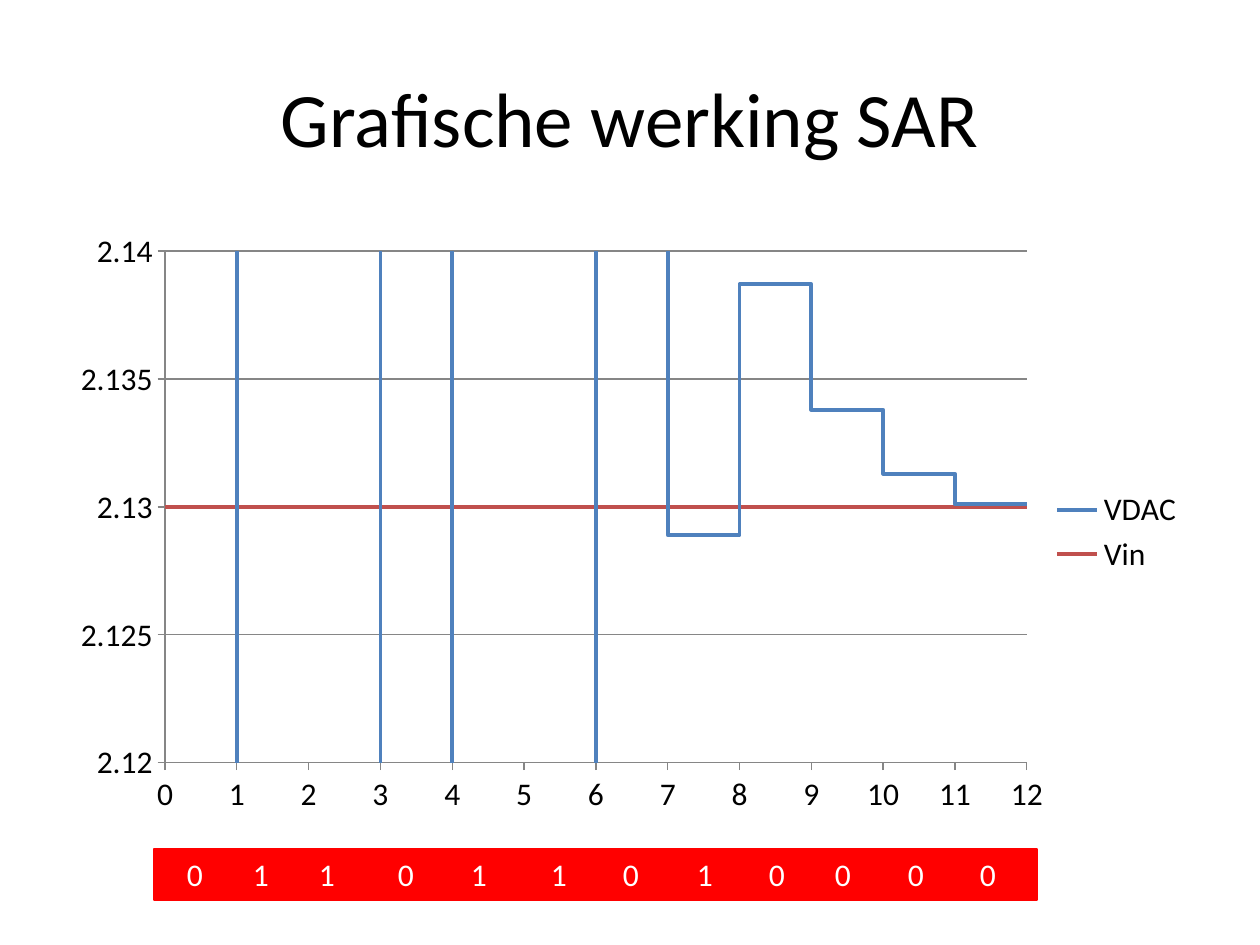
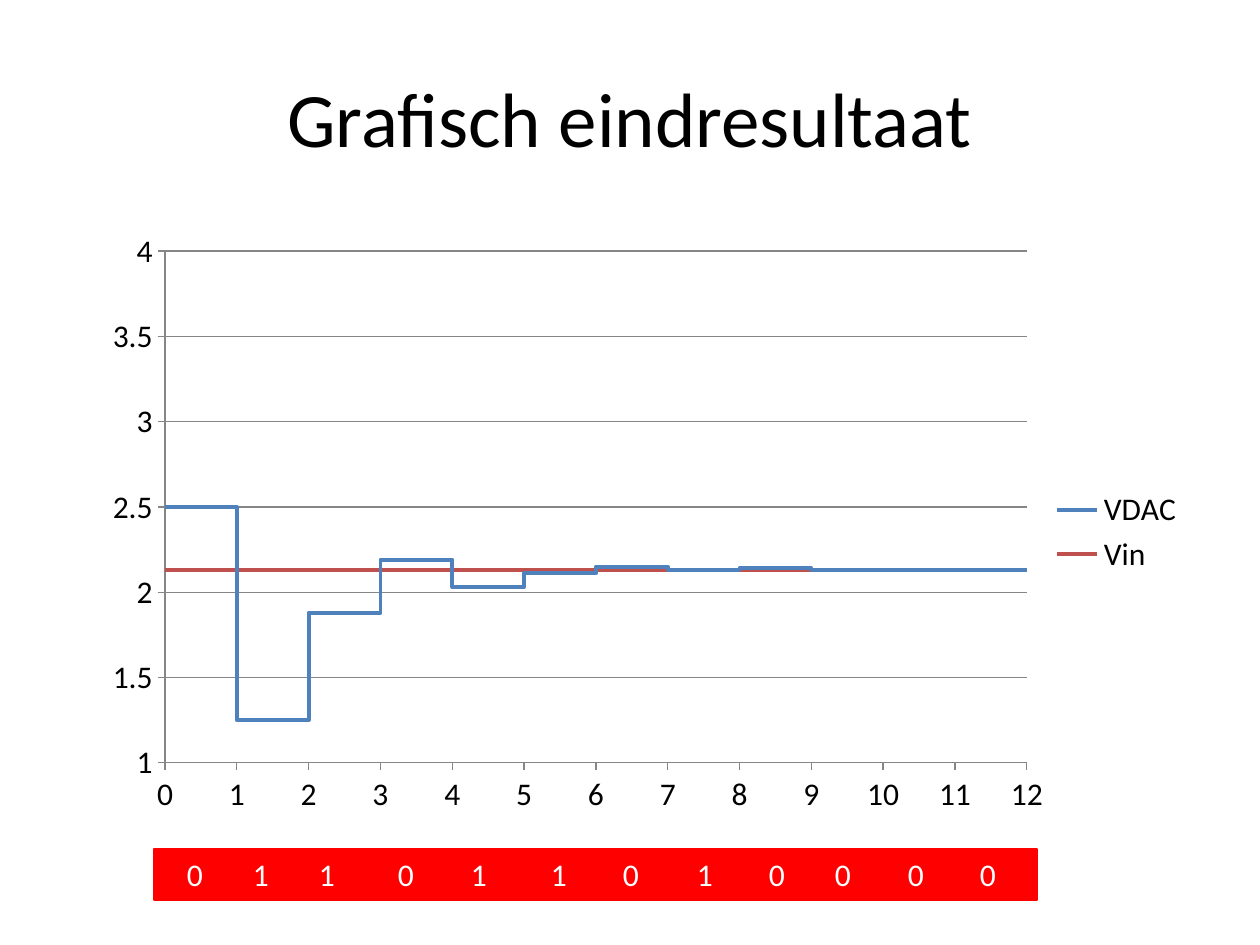
"""Build two slides that plot a successive approximation conversion."""
from lxml import etree
from pptx import Presentation
from pptx.chart.data import XyChartData
from pptx.dml.color import RGBColor
from pptx.enum.chart import XL_CHART_TYPE, XL_LEGEND_POSITION, XL_TICK_MARK
from pptx.enum.shapes import MSO_SHAPE
from pptx.enum.text import MSO_ANCHOR, PP_ALIGN
from pptx.oxml.ns import qn
from pptx.util import Pt

SCATTER = XL_CHART_TYPE.XY_SCATTER_LINES_NO_MARKERS
LEGEND_RIGHT = XL_LEGEND_POSITION.RIGHT
TICK_OUT, TICK_NONE = XL_TICK_MARK.OUTSIDE, XL_TICK_MARK.NONE
RECT = MSO_SHAPE.RECTANGLE
MIDDLE, TOP = MSO_ANCHOR.MIDDLE, MSO_ANCHOR.TOP
CENTER, LEFT = PP_ALIGN.CENTER, PP_ALIGN.LEFT

SLIDES = [
    {"title": "Grafische werking SAR", "low": 2.12, "high": 2.14, "unit": 0.005, "digits": 4},
    {"title": "Grafisch eindresultaat", "low": 1, "high": 4, "unit": 0.5, "digits": 2},
]
BITS = [0, 1, 1, 0, 1, 1, 0, 1, 0, 0, 0, 0]
BIT_CENTERS = [195, 261, 327, 406, 479, 559, 631, 705, 777, 843, 916, 988]
V_REF, V_IN = 5, 2.13

COLORS = {"text": "000000", "vdac": "4F81BD", "vin": "C0504D",
          "grid": "868686", "band": "FF0000", "bits": "FFFFFF"}
FONT = "Calibri"
PX = 914400 / 126
SLIDE_SIZE = (1260, 945)
TITLE_BOX = (63, 38, 1134, 157)
CHART_BOX = (63, 220, 1134, 624)
BAND_BOX = (154, 849, 883, 51)
BAND_INSET = 13
PLOT = {"x": 0.09, "y": 0.05, "w": 0.76, "h": 0.82}


def emu(*lengths):
    return [round(n * PX) for n in lengths]


def rgb(name):
    return RGBColor.from_string(COLORS[name])


def style_font(font, size, color):
    font.name, font.size = FONT, Pt(size)
    font.color.rgb = rgb(color)


def style_line(line, color, width):
    line.color.rgb = rgb(color)
    line.width = Pt(width)


def dac_levels():
    level = step = V_REF / 2
    levels = [level]
    for bit in BITS[:-1]:
        step /= 2
        level += step if bit else -step
        levels.append(level)
    return levels


def add_title(slide, text):
    sp = slide.shapes.title
    sp.left, sp.top, sp.width, sp.height = emu(*TITLE_BOX)
    tf = sp.text_frame
    tf.vertical_anchor = MIDDLE
    p = tf.paragraphs[0]
    p.alignment = CENTER
    r = p.add_run()
    r.text = text
    style_font(r.font, 44, "text")


def set_plot_layout(chart):
    area = chart.element.find(".//" + qn("c:plotArea"))
    for old in area.findall(qn("c:layout")):
        area.remove(old)
    layout = etree.Element(qn("c:layout"))
    manual = etree.SubElement(layout, qn("c:manualLayout"))
    settings = {"layoutTarget": "inner", "xMode": "edge", "yMode": "edge", **PLOT}
    for tag, value in settings.items():
        etree.SubElement(manual, qn("c:" + tag)).set("val", str(value))
    area.insert(0, layout)


def style_axis(axis, low, high, unit, grid):
    axis.minimum_scale, axis.maximum_scale, axis.major_unit = low, high, unit
    axis.major_tick_mark, axis.minor_tick_mark = TICK_OUT, TICK_NONE
    axis.has_major_gridlines = grid
    style_line(axis.format.line, "grid", 0.75)
    if grid:
        style_line(axis.major_gridlines.format.line, "grid", 0.75)


def add_chart(slide, low, high, unit, digits):
    data = XyChartData()
    vdac = data.add_series("VDAC")
    for i, level in enumerate(dac_levels()):
        for x in (i, i + 1):
            vdac.add_data_point(x, round(level, digits))
    vin = data.add_series("Vin")
    for x in range(len(BITS) + 1):
        vin.add_data_point(x, V_IN)

    chart = slide.shapes.add_chart(SCATTER, *emu(*CHART_BOX), data).chart
    style_font(chart.font, 18, "text")
    chart.has_title = False
    chart.has_legend = True
    chart.legend.position = LEGEND_RIGHT
    chart.legend.include_in_layout = False
    set_plot_layout(chart)
    style_axis(chart.category_axis, 0, len(BITS), 1, False)
    style_axis(chart.value_axis, low, high, unit, True)
    plot = chart.plots[0]
    plot.vary_by_categories = False
    for series, color in zip(plot.series, ("vdac", "vin")):
        series.smooth = False
        style_line(series.format.line, color, 2.25)


def add_bit_band(slide):
    sp = slide.shapes.add_shape(RECT, *emu(*BAND_BOX))
    sp.shadow.inherit = False
    sp.fill.solid()
    sp.fill.fore_color.rgb = rgb("band")
    style_line(sp.line, "band", 0.75)
    tf = sp.text_frame
    tf.word_wrap = True
    tf.vertical_anchor = TOP
    tf.margin_left = tf.margin_right = emu(BAND_INSET)[0]
    p = tf.paragraphs[0]
    p.alignment = LEFT
    tabs = etree.SubElement(p._p.get_or_add_pPr(), qn("a:tabLst"))
    for center in BIT_CENTERS:
        tab = etree.SubElement(tabs, qn("a:tab"))
        tab.set("pos", str(emu(center - BAND_BOX[0] - BAND_INSET)[0]))
        tab.set("algn", "ctr")
    for bit in BITS:
        r = p.add_run()
        r.text = f"\t{bit}"
        style_font(r.font, 18, "bits")


def main():
    prs = Presentation()
    prs.slide_width, prs.slide_height = emu(*SLIDE_SIZE)
    for page in SLIDES:
        slide = prs.slides.add_slide(prs.slide_layouts.get_by_name("Title Only"))
        add_title(slide, page["title"])
        add_chart(slide, page["low"], page["high"], page["unit"], page["digits"])
        add_bit_band(slide)
    prs.save("out.pptx")


if __name__ == "__main__":
    main()
